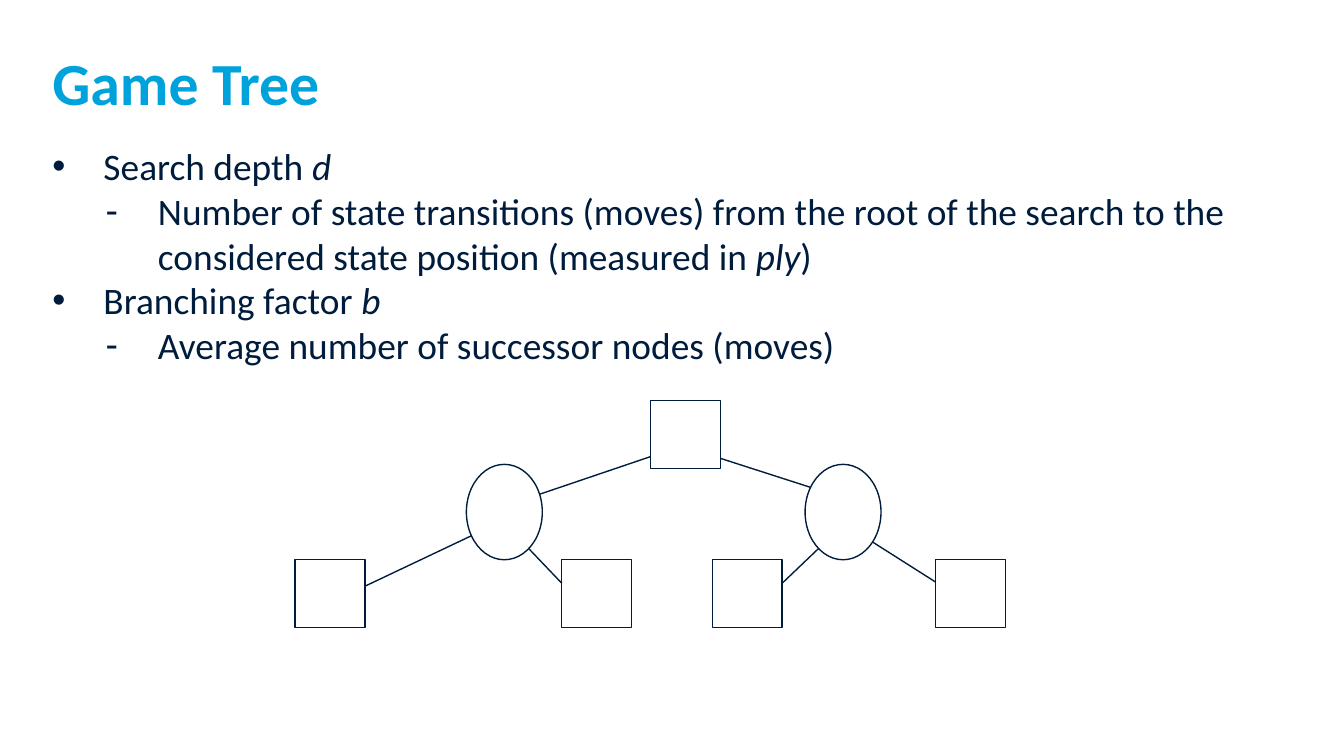
from dataclasses import dataclass

from lxml.etree import SubElement
from pptx import Presentation
from pptx.dml.color import RGBColor
from pptx.enum.shapes import MSO_CONNECTOR as Connector, MSO_SHAPE as Shape
from pptx.oxml.ns import qn
from pptx.slide import Slide
from pptx.text.text import TextFrame, _Paragraph as Paragraph
from pptx.util import Emu, Pt

PX_PER_INCH = 200
SCALE = 914400 // PX_PER_INCH
FONT = "Calibri"
BLUE = RGBColor(0x00, 0xA2, 0xDB)
NAVY = RGBColor(0x00, 0x1C, 0x3D)
WHITE = RGBColor(0xFF, 0xFF, 0xFF)
LINE_WIDTH = Pt(0.75)
TEXT_LEFT, TEXT_WIDTH = 78, 1822


@dataclass(frozen=True)
class Bullet:
    level: int
    runs: tuple[tuple[str, bool], ...]


@dataclass(frozen=True)
class Level:
    mark: str
    margin: int
    hanging: int


@dataclass(frozen=True)
class Node:
    kind: Shape
    left: int
    top: int
    width: int
    height: int
    filled: bool = False


@dataclass(frozen=True)
class Edge:
    start: tuple[int, int]
    end: tuple[int, int]


LEVELS = (Level("•", 76, 76), Level("-", 157, 78))

BULLETS = (
    Bullet(0, (("Search depth ", False), ("d", True))),
    Bullet(1, (
        ("Number of state transitions (moves) from the root of the search "
         "to the considered state position (measured in ", False),
        ("ply", True),
        (")", False),
    )),
    Bullet(0, (("Branching factor ", False), ("b", True))),
    Bullet(1, (("Average number of successor nodes (moves)", False),)),
)

LEAVES = tuple(Node(Shape.RECTANGLE, left, 833, 104, 101) for left in (439, 836, 1060, 1392))
INNER_NODES = tuple(Node(Shape.OVAL, left, 691, 113, 142, True) for left in (694, 1198))
ROOT = Node(Shape.RECTANGLE, 968, 596, 104, 101, True)

EDGES = (
    Edge((738, 780), (544, 872)),
    Edge((754, 782), (836, 868)),
    Edge((1252, 784), (1164, 868)),
    Edge((1266, 786), (1392, 866)),
    Edge((1008, 666), (784, 742)),
    Edge((1022, 666), (1252, 740)),
)


def px(length: int) -> Emu:
    return Emu(length * SCALE)


def add_text_frame(slide: Slide, top: int, height: int) -> TextFrame:
    box = slide.shapes.add_textbox(px(TEXT_LEFT), px(top), px(TEXT_WIDTH), px(height))
    frame = box.text_frame
    frame.word_wrap = True
    frame.margin_left = frame.margin_right = frame.margin_top = frame.margin_bottom = 0
    return frame


def add_run(paragraph: Paragraph, text: str, *, size: int, color: RGBColor,
            bold: bool = False, italic: bool = False) -> None:
    run = paragraph.add_run()
    run.text = text
    font = run.font
    font.name, font.size, font.bold, font.italic = FONT, Pt(size), bold, italic
    font.color.rgb = color


def set_bullet(paragraph: Paragraph, level: Level) -> None:
    properties = paragraph._p.get_or_add_pPr()
    properties.set("marL", str(px(level.margin)))
    properties.set("indent", str(-px(level.hanging)))
    SubElement(properties, qn("a:buFont"), typeface="Arial")
    SubElement(properties, qn("a:buChar"), char=level.mark)


def add_bullets(frame: TextFrame, bullets: tuple[Bullet, ...]) -> None:
    for index, bullet in enumerate(bullets):
        paragraph = frame.add_paragraph() if index else frame.paragraphs[0]
        paragraph.level = bullet.level
        set_bullet(paragraph, LEVELS[bullet.level])
        for text, italic in bullet.runs:
            add_run(paragraph, text, size=20, color=NAVY, italic=italic)


def add_node(slide: Slide, node: Node) -> None:
    shape = slide.shapes.add_shape(
        node.kind, px(node.left), px(node.top), px(node.width), px(node.height))
    shape.shadow.inherit = False
    shape.line.color.rgb = NAVY
    shape.line.width = LINE_WIDTH
    if node.filled:
        shape.fill.solid()
        shape.fill.fore_color.rgb = WHITE
    else:
        shape.fill.background()


def add_edge(slide: Slide, edge: Edge) -> None:
    connector = slide.shapes.add_connector(
        Connector.STRAIGHT, *map(px, edge.start), *map(px, edge.end))
    connector.line.color.rgb = NAVY
    connector.line.width = LINE_WIDTH
    SubElement(connector._element.spPr, qn("a:effectLst"))


def main() -> None:
    presentation = Presentation()
    presentation.slide_width = px(2000)
    presentation.slide_height = px(1125)
    slide = presentation.slides.add_slide(presentation.slide_layouts[6])

    title = add_text_frame(slide, 68, 124)
    add_run(title.paragraphs[0], "Game Tree", size=32, color=BLUE, bold=True)
    add_bullets(add_text_frame(slide, 213, 730), BULLETS)

    for edge in EDGES:
        add_edge(slide, edge)
    for node in (*LEAVES, *INNER_NODES, ROOT):
        add_node(slide, node)

    presentation.save("out.pptx")


if __name__ == "__main__":
    main()
